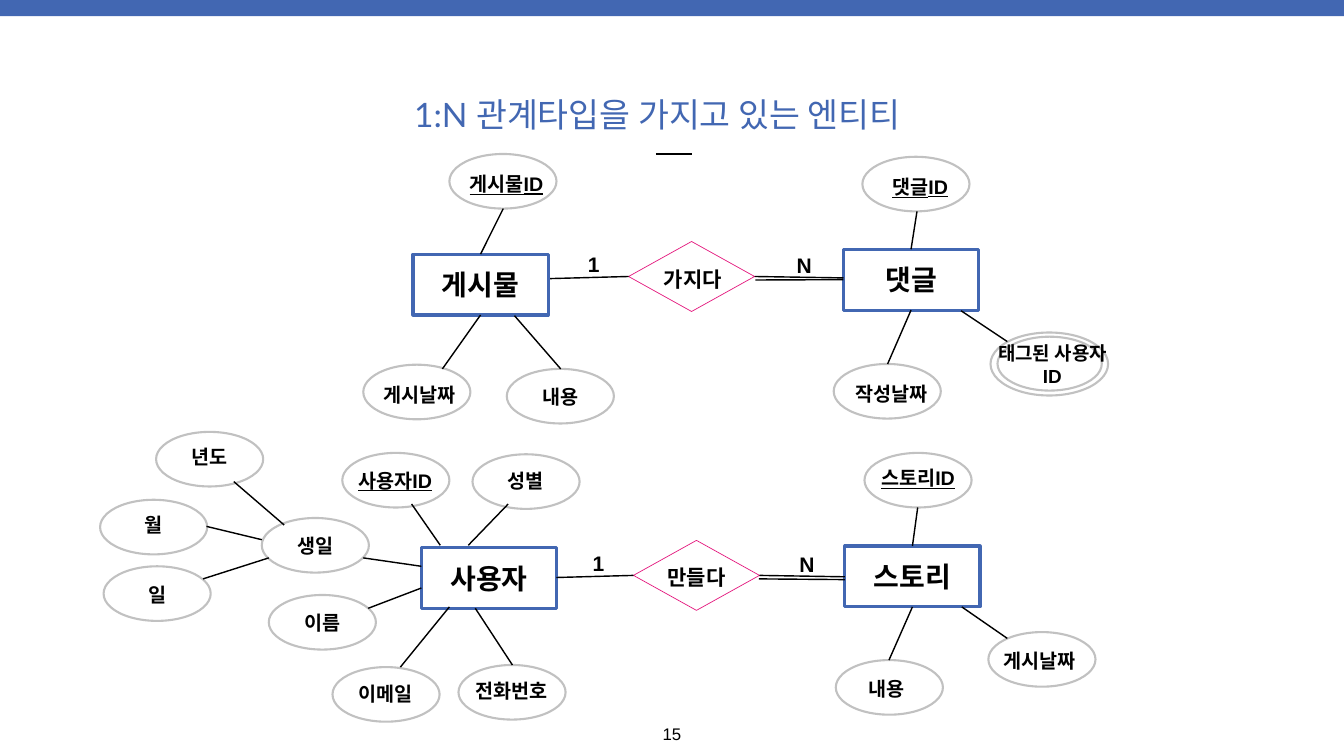
import pptx
import pptx.dml.color
import pptx.enum.shapes
import pptx.enum.text
import pptx.oxml.ns
import pptx.util
from lxml import etree

Pt = pptx.util.Pt
SHAPE = pptx.enum.shapes.MSO_SHAPE
ALIGN = pptx.enum.text.PP_ALIGN
ANCHOR = pptx.enum.text.MSO_ANCHOR
TOP, LEFT, BOTTOM, RIGHT = range(4)

COLORS = {"blue": "4267B2", "gray": "C1C1C1", "pink": "E4177D",
          "white": "FFFFFF", "black": "000000"}
ATTRIBUTE_SIZE = (153, 78)
ENTITY_SIZE = (193, 87)
RELATION_SIZE = (180, 100)

# name: left, top
ENTITIES = {"게시물": (590, 363), "댓글": (1205, 356),
            "사용자": (602, 782), "스토리": (1207, 780)}

# name: left, top, text shift right, text shift down
RELATIONS = {"가지다": (898, 345, 2, 4), "만들다": (905, 772, 0, 3)}

# name, left, top, text shift right, text shift down
ATTRIBUTES = [
    ("게시물ID", 642, 220, 5, 4), ("게시날짜", 519, 521, 4, 4),
    ("내용", 724, 527, 0, 1), ("댓글ID", 1232, 224, 6, 4),
    ("작성날짜", 1191, 520, 6, 3), ("사용자ID", 489, 647, -1, 0),
    ("성별", 675, 649, -1, -1), ("생일", 374, 740, 0, 1),
    ("년도", 223, 617, 0, -3), ("월", 143, 714, 0, -3),
    ("일", 148, 809, 0, 1), ("이름", 384, 850, 0, 0),
    ("이메일", 475, 953, -1, -1), ("전화번호", 655, 950, -1, -2),
    ("스토리ID", 1235, 647, 0, -3), ("내용", 1194, 943, -4, 2),
    ("게시날짜", 1412, 903, -3, 2),
]

# Each end is a point, or a named shape and the side it is joined to
LINKS = [
    ((719, 298), ("게시물", TOP)), (("게시물", BOTTOM), (632, 527)),
    ((735, 451), (801, 527)),
    (("가지다", LEFT), (786, 398)), (("가지다", RIGHT), (1205, 397)),
    ((1079, 400), ("댓글", LEFT)),
    ((1310, 302), ("댓글", TOP)), (("댓글", BOTTOM), (1268, 520)),
    ((1373, 444), (1439, 488)),
    ((726, 720), (669, 779)), ((588, 720), (629, 779)),
    ((519, 797), (602, 809)), ((602, 840), (526, 869)),
    ((642, 867), (572, 953)), ((679, 869), (732, 950)),
    ((406, 750), (334, 688)), ((374, 771), (295, 752)),
    ((384, 797), (290, 827)),
    (("만들다", LEFT), (795, 825)), (("만들다", RIGHT), (1207, 824)),
    ((1084, 827), (1207, 828)),
    ((1311, 725), ("스토리", TOP)), (("스토리", BOTTOM), (1270, 943)),
    ((1374, 867), (1439, 912)),
]

# text, centre, top
CARDINALITIES = [("1", 848, 360), ("N", 1149, 361),
                 ("1", 855, 787), ("N", 1153, 788)]


def rgb(name):
    return pptx.dml.color.RGBColor.from_string(COLORS[name])


def write(sp, text, size, color="black", font="Arial", bold=True,
          underline=None, wrap=False, dx=0, dy=0):
    """Centre the text in the shape, shifted by dx and dy."""
    tf = sp.text_frame
    tf.word_wrap = wrap
    tf.auto_size = pptx.enum.text.MSO_AUTO_SIZE.NONE
    tf.vertical_anchor = ANCHOR.MIDDLE
    tf.margin_left, tf.margin_right = Pt(max(2 * dx, 0)), Pt(max(-2 * dx, 0))
    tf.margin_top, tf.margin_bottom = Pt(max(2 * dy, 0)), Pt(max(-2 * dy, 0))
    p = tf.paragraphs[0]
    p.text = text
    p.alignment = ALIGN.CENTER
    p.font.name, p.font.size = font, Pt(size)
    p.font.bold, p.font.underline = bold, underline
    p.font.color.rgb = rgb(color)


def add_label(slide, text, x, y, w, h, size, **style):
    write(slide.shapes.add_textbox(Pt(x), Pt(y), Pt(w), Pt(h)),
          text, size, **style)


def add_box(slide, kind, x, y, w, h, line=None, width=0, fill="white"):
    sp = slide.shapes.add_shape(kind, Pt(x), Pt(y), Pt(w), Pt(h))
    sp.shadow.inherit = False
    sp.fill.solid()
    sp.fill.fore_color.rgb = rgb(fill)
    if line:
        sp.line.color.rgb = rgb(line)
        sp.line.width = Pt(width)
    else:
        sp.line.fill.background()
    return sp


def add_link(slide, start, end, nodes):
    is_joined = [isinstance(point[0], str) for point in (start, end)]
    x1, y1 = (0, 0) if is_joined[0] else start
    x2, y2 = (0, 0) if is_joined[1] else end
    line = slide.shapes.add_connector(
        pptx.enum.shapes.MSO_CONNECTOR.STRAIGHT, Pt(x1), Pt(y1), Pt(x2), Pt(y2))
    if is_joined[0]:
        line.begin_connect(nodes[start[0]], start[1])
    if is_joined[1]:
        line.end_connect(nodes[end[0]], end[1])
    line.line.color.rgb = rgb("black")
    line.line.width = Pt(2)
    etree.SubElement(line._element.spPr, pptx.oxml.ns.qn("a:effectLst"))


def main():
    prs = pptx.Presentation()
    prs.slide_width, prs.slide_height = Pt(1920), Pt(1080)
    slide = prs.slides.add_slide(prs.slide_layouts[5])
    nodes = {}

    # Header band, title and short rule
    add_box(slide, SHAPE.RECTANGLE, 0, -2, 1920, 25, fill="blue")
    title = slide.shapes.title
    title.left, title.top, title.width, title.height = map(Pt, (579, 130, 720, 66))
    write(title, "1:N 관계타입을 가지고 있는 엔티티", 48, "blue", "Lato", bold=False)
    add_link(slide, (937, 220), (989, 220), nodes)

    # Attributes, with key attributes underlined
    for name, x, y, dx, dy in ATTRIBUTES:
        sp = add_box(slide, SHAPE.OVAL, x, y, *ATTRIBUTE_SIZE, "gray", 3)
        write(sp, name, 28, underline=name.endswith("ID") or None, dx=dx, dy=dy)

    # Multivalued attribute with a double outline
    add_box(slide, SHAPE.OVAL, 1415, 475, 168, 90, "gray", 3)
    add_box(slide, SHAPE.OVAL, 1425, 481, 149, 77, "gray", 3)
    add_label(slide, "태그된 사용자ID", 1419, 474, 169, 94, 27, wrap=True)

    # Entities and relationships
    for name, (x, y) in ENTITIES.items():
        nodes[name] = add_box(slide, SHAPE.RECTANGLE, x, y, *ENTITY_SIZE, "blue", 4.5)
        write(nodes[name], name, 40)
    for name, (x, y, dx, dy) in RELATIONS.items():
        nodes[name] = add_box(slide, SHAPE.DIAMOND, x, y, *RELATION_SIZE, "pink", 1)
        write(nodes[name], name, 30, dx=dx, dy=dy)

    # Lines and cardinalities
    for start, end in LINKS:
        add_link(slide, start, end, nodes)
    for text, center, y in CARDINALITIES:
        add_label(slide, text, center - 14, y, 28, 36, 30)

    # Page number
    add_label(slide, "15", 942, 1030, 36, 36, 24, bold=False)
    prs.save("out.pptx")


if __name__ == "__main__":
    main()
